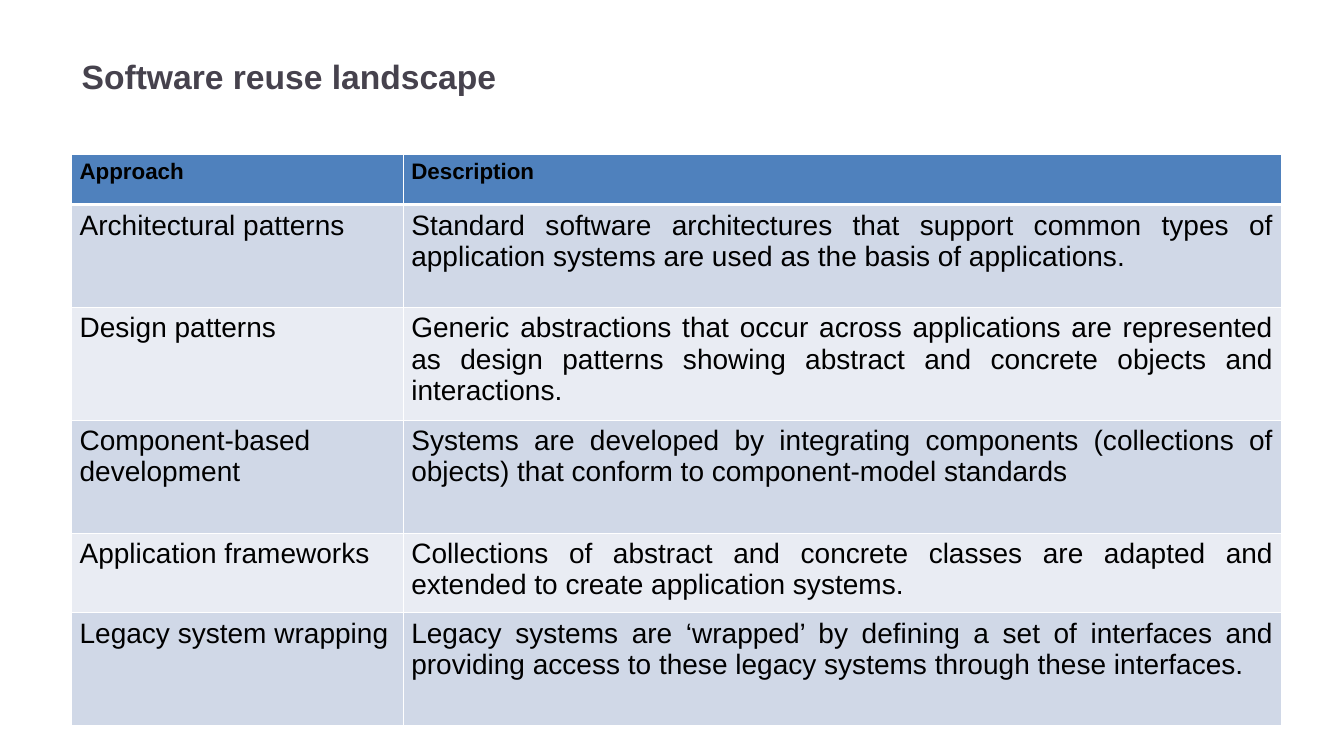
from pptx import Presentation
from pptx.dml.color import RGBColor
from pptx.enum.text import MSO_ANCHOR, PP_ALIGN
from pptx.oxml import parse_xml
from pptx.oxml.ns import nsdecls
from pptx.util import Inches, Pt

TITLE_GREY = RGBColor(0x46, 0x42, 0x4D)
BLACK = RGBColor(0, 0, 0)
WHITE = RGBColor(0xFF, 0xFF, 0xFF)
HEADER_BLUE = RGBColor(0x4F, 0x81, 0xBD)
BANDS = [RGBColor(0xE9, 0xEC, 0xF3), RGBColor(0xD0, 0xD8, 0xE7)]

LEFT, TABLE_TOP = 0.71, 1.53
COLUMNS = [3.29, 8.71]
ROWS = [0.5, 1.02, 1.12, 1.12, 0.79, 1.12]
THIN, THICK = 0.96, 3

APPROACHES = [
    ("Approach", "Description"),
    ("Architectural patterns",
     "Standard software architectures that support common types of "
     "application systems are used as the basis of applications. "),
    ("Design patterns",
     "Generic abstractions that occur across applications are represented as "
     "design patterns showing abstract and concrete objects and interactions."),
    ("Component-based development",
     "Systems are developed by integrating components (collections of "
     "objects) that conform to component-model standards"),
    ("Application frameworks",
     "Collections of abstract and concrete classes are adapted and extended "
     "to create application systems."),
    ("Legacy system wrapping",
     "Legacy systems are ‘wrapped’ by defining a set of interfaces and "
     "providing access to these legacy systems through these interfaces."),
]


def write(frame, text, size=20, color=BLACK, bold=False,
          align=PP_ALIGN.LEFT, anchor=MSO_ANCHOR.TOP):
    frame.word_wrap = True
    frame.vertical_anchor = anchor
    paragraph = frame.paragraphs[0]
    paragraph.alignment = align
    run = paragraph.add_run()
    run.text = text
    run.font.size, run.font.name, run.font.bold = Pt(size), "Arial", bold
    run.font.color.rgb = color


def set_borders(cell, **widths):
    properties = cell._tc.get_or_add_tcPr()
    for index, (side, width) in enumerate(widths.items()):
        properties.insert(index, parse_xml(
            f'<a:ln{side} {nsdecls("a")} w="{Pt(width)}"><a:solidFill>'
            f'<a:srgbClr val="{WHITE}"/></a:solidFill></a:ln{side}>'))


presentation = Presentation()
presentation.slide_width, presentation.slide_height = Inches(13.33), Inches(7.5)
slide = presentation.slides.add_slide(presentation.slide_layouts[5])

# Title
title = slide.shapes.title
title.left, title.top = Inches(LEFT), Inches(0.13)
title.width, title.height = Inches(9), Inches(1.25)
write(title.text_frame, "Software reuse landscape", size=24, color=TITLE_GREY,
      bold=True, anchor=MSO_ANCHOR.MIDDLE)

# Table of reuse approaches
landscape = slide.shapes.add_table(
    len(ROWS), len(COLUMNS), Inches(LEFT), Inches(TABLE_TOP),
    Inches(sum(COLUMNS)), Inches(sum(ROWS))).table
for column, width in zip(landscape.columns, COLUMNS):
    column.width = Inches(width)
for row, height in zip(landscape.rows, ROWS):
    row.height = Inches(height)

for r, texts in enumerate(APPROACHES):
    header = r == 0
    for c, text in enumerate(texts):
        cell = landscape.cell(r, c)
        cell.margin_left = cell.margin_right = Inches(0.08)
        cell.margin_top = cell.margin_bottom = Inches(0.05)
        cell.fill.solid()
        cell.fill.fore_color.rgb = HEADER_BLUE if header else BANDS[r % 2]
        set_borders(cell, L=THIN, R=THIN, T=THICK if r == 1 else THIN,
                    B=THICK if header else THIN)
        write(cell.text_frame, text, size=16 if header else 20, bold=header,
              align=PP_ALIGN.JUSTIFY if header or c == 1 else PP_ALIGN.LEFT)

presentation.save("out.pptx")
